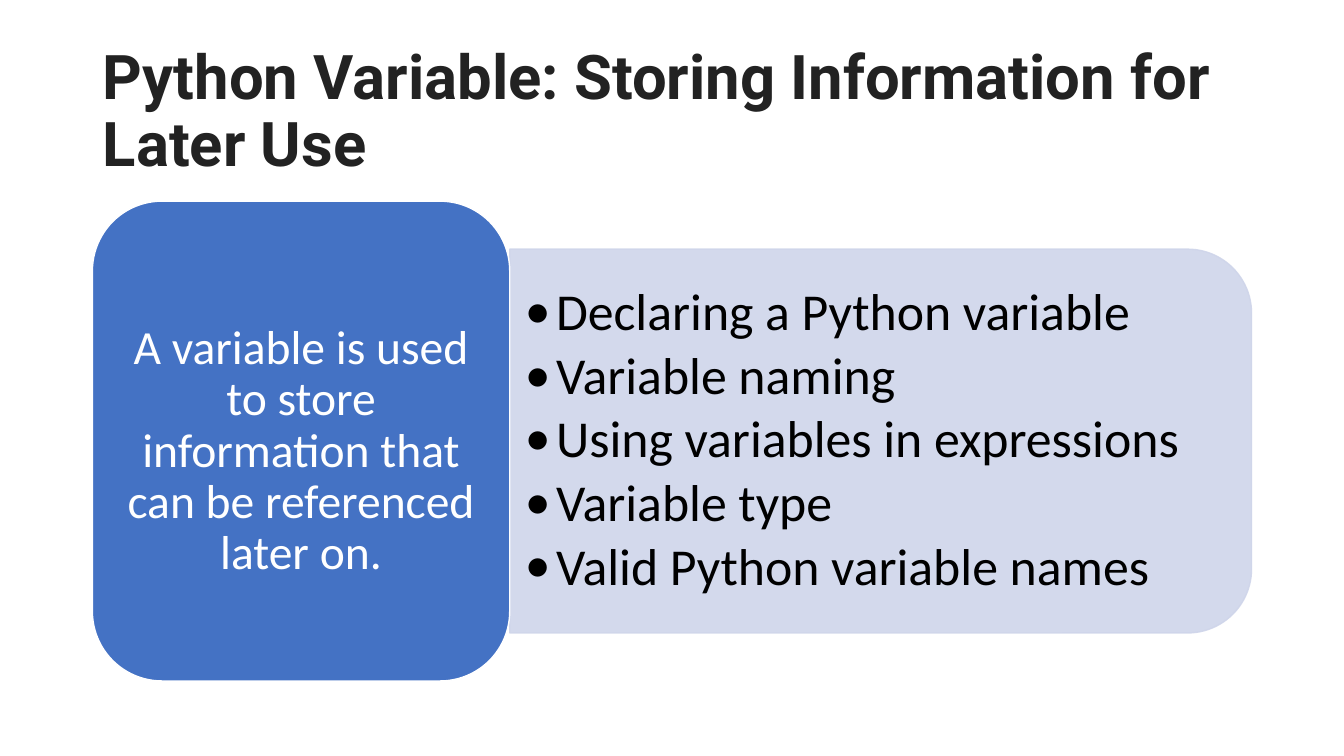
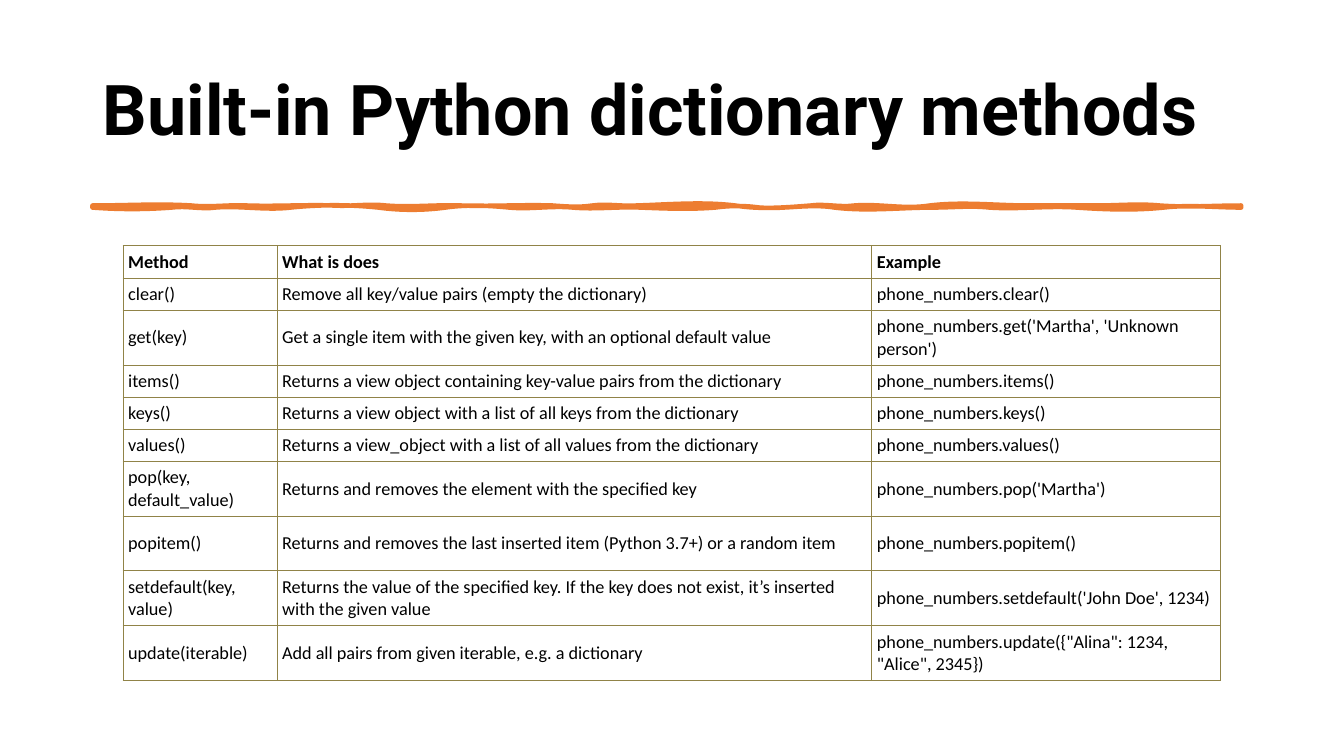
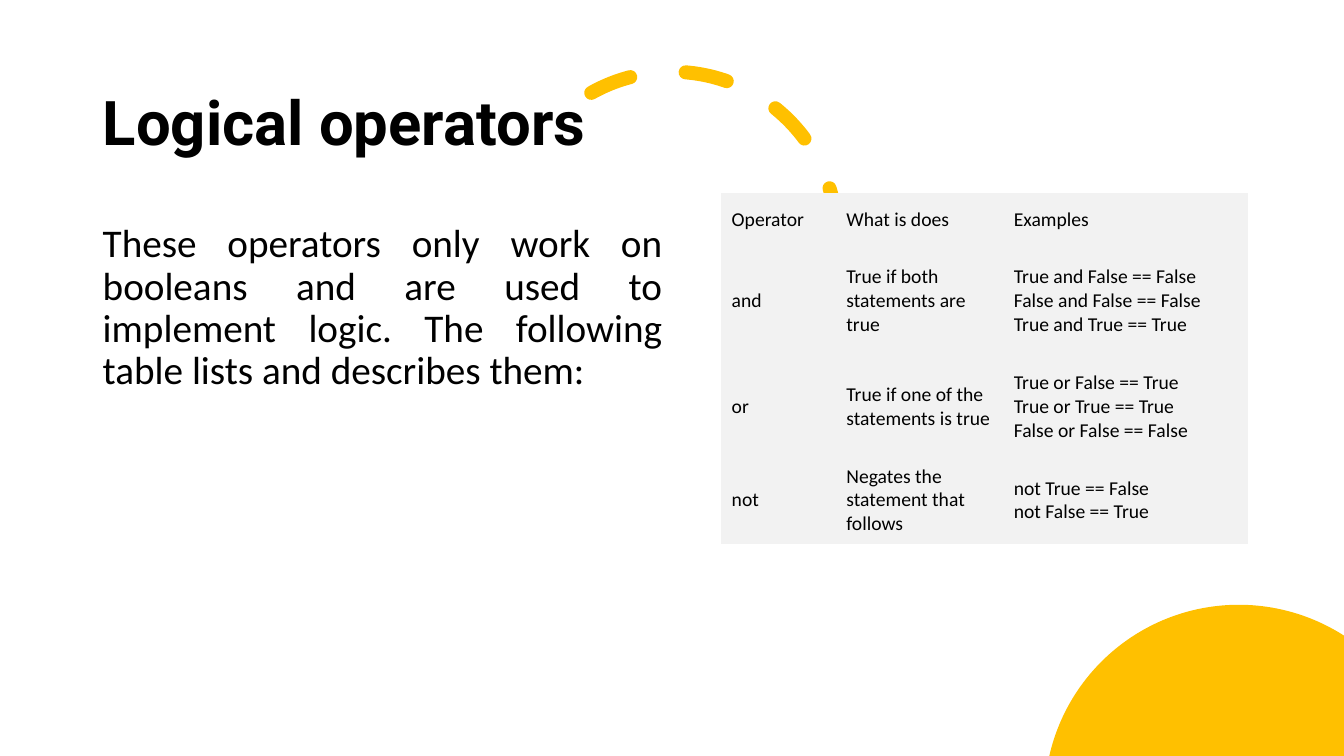
import math
from lxml import etree
from pptx import Presentation
from pptx.dml.color import RGBColor
from pptx.enum.dml import MSO_LINE
from pptx.enum.shapes import MSO_SHAPE
from pptx.enum.text import MSO_ANCHOR, PP_ALIGN
from pptx.oxml.ns import qn
from pptx.util import Cm, Pt

MIDDLE, TOP = MSO_ANCHOR.MIDDLE, MSO_ANCHOR.TOP
LEFT, CENTER, JUSTIFY = PP_ALIGN.LEFT, PP_ALIGN.CENTER, PP_ALIGN.JUSTIFY
ROUNDED, ROUNDED_TOP, ARC = MSO_SHAPE.ROUNDED_RECTANGLE, MSO_SHAPE.ROUND_2_SAME_RECTANGLE, MSO_SHAPE.ARC
DASH = MSO_LINE.DASH

COLORS = {
    "black": "000000", "ink": "222222", "white": "FFFFFF", "blue": "4472C4",
    "pale": "CFD5EA", "orange": "ED7D31", "gold": "FFC000", "olive": "908347", "grey": "F2F2F2",
}
TITLE_FONT, BODY_FONT = "Roboto", "Calibri"
TITLE_BOX = (2.34, 1.01, 29.21, 3.68)
TEXT_INSETS = (0.25, 0.13, 0.25, 0.13)
NO_TABLE_STYLE = "{2D5ABB26-0587-4C30-8999-92F81FD0307C}"

TOPICS = ["Declaring a Python variable", "Variable naming", "Using variables in expressions",
          "Variable type", "Valid Python variable names"]
METHODS = [
    ("Method", "What is does", "Example"),
    ("clear()", "Remove all key/value pairs (empty the dictionary)", "phone_numbers.clear()"),
    ("get(key)", "Get a single item with the given key, with an optional default value",
     "phone_numbers.get('Martha', 'Unknown person')"),
    ("items()", "Returns a view object containing key-value pairs from the dictionary",
     "phone_numbers.items()"),
    ("keys()", "Returns a view object with a list of all keys from the dictionary",
     "phone_numbers.keys()"),
    ("values()", "Returns a view_object with a list of all values from the dictionary",
     "phone_numbers.values()"),
    ("pop(key, default_value)", "Returns and removes the element with the specified key",
     "phone_numbers.pop('Martha')"),
    ("popitem()", "Returns and removes the last inserted item (Python 3.7+) or a random item",
     "phone_numbers.popitem()"),
    ("setdefault(key, value)",
     "Returns the value of the specified key. If the key does not exist, it’s inserted with the given value",
     "phone_numbers.setdefault('John Doe', 1234)"),
    ("update(iterable)", "Add all pairs from given iterable, e.g. a dictionary",
     "phone_numbers.update({\"Alina\": 1234, \"Alice\", 2345})"),
]
OPERATORS = [
    ("Operator", "What is does", "Examples"),
    ("and", "True if both statements are true",
     "True and False == False\vFalse and False == False\vTrue and True == True"),
    ("or", "True if one of the statements is true",
     "True or False == True\vTrue or True == True\vFalse or False == False"),
    ("not", "Negates the statement that follows", "not True == False\vnot False == True"),
]
UPPER_WAVES = [
    (2.5, 0, -2), (3.9, 2, -1), (6.1, 1, -1), (7.4, 1, -2), (9.3, 2, -1), (11.6, 1, -1),
    (12.6, 1, 2), (13.7, -2, 1), (16.2, -1, -4), (18.1, 4, 2), (19.2, -2, 2), (21.1, -2, 4),
    (23.6, -4, 0), (25.3, 0, 0), (26.9, 0, -2), (28.95, 2, 0),
]
LOWER_WAVES = [
    (27, 0, -3), (24.8, 3, 2), (22.6, -2, 2), (21.2, -2, 0), (18.7, 0, 4), (16.8, -4, 2),
    (15.7, -2, -2), (13.8, 2, 1), (12.1, -1, 2), (10.5, -2, 2), (8.9, -2, -3), (7.2, 3, 3),
    (5, -3, -3), (3.1, 3, -2), (2, 2, -2), (0, 2, 2),
]


def rgb(name):
    """Return the named colour."""
    return RGBColor.from_string(COLORS[name])


def lengths(values):
    """Turn centimetre numbers into lengths."""
    return [Cm(value) for value in values]


def write(frame, text, size, color, font=BODY_FONT, bold=False, align=LEFT, spacing=None):
    """Put styled text into a text frame."""
    frame.text = text
    for para in frame.paragraphs:
        para.alignment = align
        para.line_spacing = spacing
        for span in para.runs:
            span.font.size, span.font.name, span.font.bold = Pt(size), font, bold
            span.font.color.rgb = rgb(color)


def set_frame(frame, anchor, insets=TEXT_INSETS):
    """Set wrapping, anchor and insets of a text frame."""
    frame.word_wrap = True
    frame.vertical_anchor = anchor
    frame.margin_left, frame.margin_top, frame.margin_right, frame.margin_bottom = lengths(insets)


def add_text(page, box, text, size, color, anchor=TOP, insets=TEXT_INSETS, **style):
    """Add a wrapped text box and return its frame."""
    frame = page.shapes.add_textbox(*lengths(box)).text_frame
    set_frame(frame, anchor, insets)
    write(frame, text, size, color, spacing=0.9, **style)
    return frame


def add_title(page, text, box=TITLE_BOX, size=44, color="black"):
    """Add the slide title."""
    add_text(page, box, text, size, color, MIDDLE, font=TITLE_FONT, bold=True)


def paint(shape, fill=None, line=None, width=1):
    """Give a shape its fill and line and drop its shadow."""
    shape.shadow.inherit = False
    if fill:
        shape.fill.solid()
        shape.fill.fore_color.rgb = rgb(fill)
    else:
        shape.fill.background()
    if line:
        shape.line.color.rgb = rgb(line)
        shape.line.width = Pt(width)
    else:
        shape.line.fill.background()


def add_outline(page, box, start, curves, corners):
    """Add a closed freeform of cubic curves and straight corners inside a box."""
    points = [start, *(point for curve in curves for point in curve), *corners]
    placed = [(Cm(box[0] + x), Cm(box[1] + y)) for x, y in points]
    builder = page.shapes.build_freeform(*placed[0], scale=1.0)
    builder.add_line_segments(placed[1:], close=True)
    shape = builder.convert_to_shape()
    segments = list(shape._element.spPr.iter(qn("a:lnTo")))
    for first in range(0, 3 * len(curves), 3):
        bend = etree.Element(qn("a:cubicBezTo"))
        segments[first].addprevious(bend)
        for segment in segments[first:first + 3]:
            bend.append(segment[0])
            segment.getparent().remove(segment)
    return shape


def add_bullets(frame, indent, gap):
    """Turn the paragraphs of a frame into a bulleted list."""
    for para in frame.paragraphs:
        para.space_after = Pt(gap)
        properties = para._p.get_or_add_pPr()
        properties.set("marL", str(Cm(indent)))
        properties.set("indent", str(-Cm(indent)))
        etree.SubElement(properties, qn("a:buFont"), typeface=BODY_FONT)
        etree.SubElement(properties, qn("a:buChar"), char="•")


def add_topic_card(page, box, text, items):
    """Add a rounded card with a list panel on its right."""
    left, top, width, height = box
    card_width, panel_height = width * 0.36, height * 0.8
    panel_left, panel_width = left + card_width, width - card_width
    middle_x, middle_y = panel_left + panel_width / 2, top + height / 2
    panel = page.shapes.add_shape(ROUNDED_TOP, *lengths(
        (middle_x - panel_height / 2, middle_y - panel_width / 2, panel_height, panel_width)))
    panel.rotation = 90
    paint(panel, "pale", "pale")
    for color in panel._element.spPr.iter(qn("a:srgbClr")):
        etree.SubElement(color, qn("a:alpha"), val="90000")
    frame = add_text(page, (panel_left, middle_y - panel_height / 2, panel_width, panel_height),
                     "\n".join(items), 37, "black", MIDDLE, (0.38, 0.2, 0.38, 0.2))
    add_bullets(frame, 0.79, 5.5)
    card = page.shapes.add_shape(ROUNDED, *lengths((left, top, card_width, height)))
    paint(card, "blue", "white")
    set_frame(card.text_frame, MIDDLE, (0.36, 0.72, 0.36, 0.18))
    write(card.text_frame, text, 34, "white", align=CENTER, spacing=0.9)


def wave_curves(start, level, waves):
    """Return the cubic curves of a wavy edge."""
    curves = []
    for end, first, second in waves:
        third = (end - start) / 3
        curves.append([(start + third, level + 0.0254 * first),
                       (end - third, level + 0.0254 * second), (end, level)])
        start = end
    return curves


def add_brush_rule(page, box):
    """Add the hand-drawn rule under the title."""
    width, height = box[2:]
    end_cap = [(width, 0), (width, height), (width, height)]
    curves = wave_curves(0, 0, UPPER_WAVES) + [end_cap] + wave_curves(width, height, LOWER_WAVES)
    paint(add_outline(page, box, (0, 0), curves, []), "orange", "orange", 3.25)


def add_borders(cell, color, width):
    """Draw the four borders of a cell."""
    properties = cell._tc.get_or_add_tcPr()
    for position, side in enumerate(("a:lnL", "a:lnR", "a:lnT", "a:lnB")):
        line = etree.Element(qn(side), w=str(Pt(width)))
        fill = etree.SubElement(line, qn("a:solidFill"))
        etree.SubElement(fill, qn("a:srgbClr"), val=COLORS[color])
        properties.insert(position, line)


def add_grid(page, place, rows, widths, heights, size, insets, fill=None, border=None, bold_head=False):
    """Add a table with plain cells at a place."""
    box = (*place, sum(widths), sum(heights))
    table = page.shapes.add_table(len(rows), len(widths), *lengths(box)).table
    table._tbl.tblPr.find(qn("a:tableStyleId")).text = NO_TABLE_STYLE
    table.first_row = table.horz_banding = False
    for column, width in zip(table.columns, widths):
        column.width = Cm(width)
    for row_number, (row, height, texts) in enumerate(zip(table.rows, heights, rows)):
        row.height = Cm(height)
        for cell, text in zip(row.cells, texts):
            write(cell.text_frame, text, size, "black", bold=bold_head and row_number == 0)
            cell.vertical_anchor = MIDDLE
            cell.margin_left, cell.margin_top, cell.margin_right, cell.margin_bottom = lengths(insets)
            if fill:
                cell.fill.solid()
                cell.fill.fore_color.rgb = rgb(fill)
            else:
                cell.fill.background()
            if border:
                add_borders(cell, border, 0.75)


def arc_curve(center_x, center_y, radius, start, end):
    """Return one cubic curve along a circle."""
    reach = 4 / 3 * math.tan((end - start) / 4)
    corners = [(start, reach), (end, -reach), (end, 0)]
    return [(center_x + radius * (math.cos(angle) - pull * math.sin(angle)),
             center_y + radius * (math.sin(angle) + pull * math.cos(angle))) for angle, pull in corners]


def add_corner_disc(page, box, center_x, radius):
    """Add a disc cut off by the right and bottom edges of a box."""
    width, height = box[2:]
    start = math.pi + math.asin((radius - height) / radius)
    top = 1.5 * math.pi
    end = 2 * math.pi - math.acos((width - center_x) / radius)
    curves = [arc_curve(center_x, radius, radius, *angles) for angles in ((start, top), (top, end))]
    first = (center_x + radius * math.cos(start), height)
    paint(add_outline(page, box, first, curves, [(width, height)]), "gold")


def add_dashed_arc(page, box, start_degrees):
    """Add a thick dashed arc that ends at the right."""
    arc = page.shapes.add_shape(ARC, *lengths(box))
    arc.adjustments[0], arc.adjustments[1] = start_degrees * 0.6, 0
    paint(arc, line="gold", width=10)
    arc.line.dash_style = DASH
    arc.line._ln.set("cap", "rnd")


def build_variable_slide(page):
    """Build the slide on variables."""
    add_title(page, "Python Variable: Storing Information for Later Use", color="ink")
    add_topic_card(page, (2.33, 5.07, 29.21, 12.09),
                   "A variable is used to store information that can be referenced later on.", TOPICS)


def build_methods_slide(page):
    """Build the slide on dictionary methods."""
    add_title(page, "Built-in Python dictionary methods", size=50)
    add_brush_rule(page, (2.33, 5.18, 28.95, 0.05))
    short, tall = 0.81, 1.38
    heights = [0.82, short, tall] + [short] * 3 + [tall] * 4
    add_grid(page, (3.1, 6.19), METHODS, (3.88, 14.99, 8.79), heights, 13,
             (0.13, 0.05, 0.13, 0.05), border="olive", bold_head=True)


def build_operators_slide(page):
    """Build the slide on logical operators."""
    add_corner_disc(page, (26.44, 15.24, 7.43, 3.81), 4.78, 4.9)
    add_dashed_arc(page, (12.78, 1.81, 8.31, 8.31), 240.7)
    add_title(page, "Logical operators", (2.34, 1.32, 14.6, 3.68))
    add_text(page, (2.34, 5.51, 14.6, 11.94),
             "These operators only work on booleans and are used to implement logic. "
             "The following table lists and describes them:", 28, "black", align=JUSTIFY)
    add_grid(page, (18.16, 4.86), OPERATORS, (2.89, 4.22, 6.17), (1.16, 2.96, 2.36, 2.36), 14,
             (0.28, 0.3, 0.28, 0.13), fill="grey")


def main():
    """Build and save the deck."""
    deck = Presentation()
    deck.slide_width, deck.slide_height = Cm(33.87), Cm(19.05)
    for build in (build_variable_slide, build_methods_slide, build_operators_slide):
        build(deck.slides.add_slide(deck.slide_layouts[6]))
    deck.save("out.pptx")


if __name__ == "__main__":
    main()
